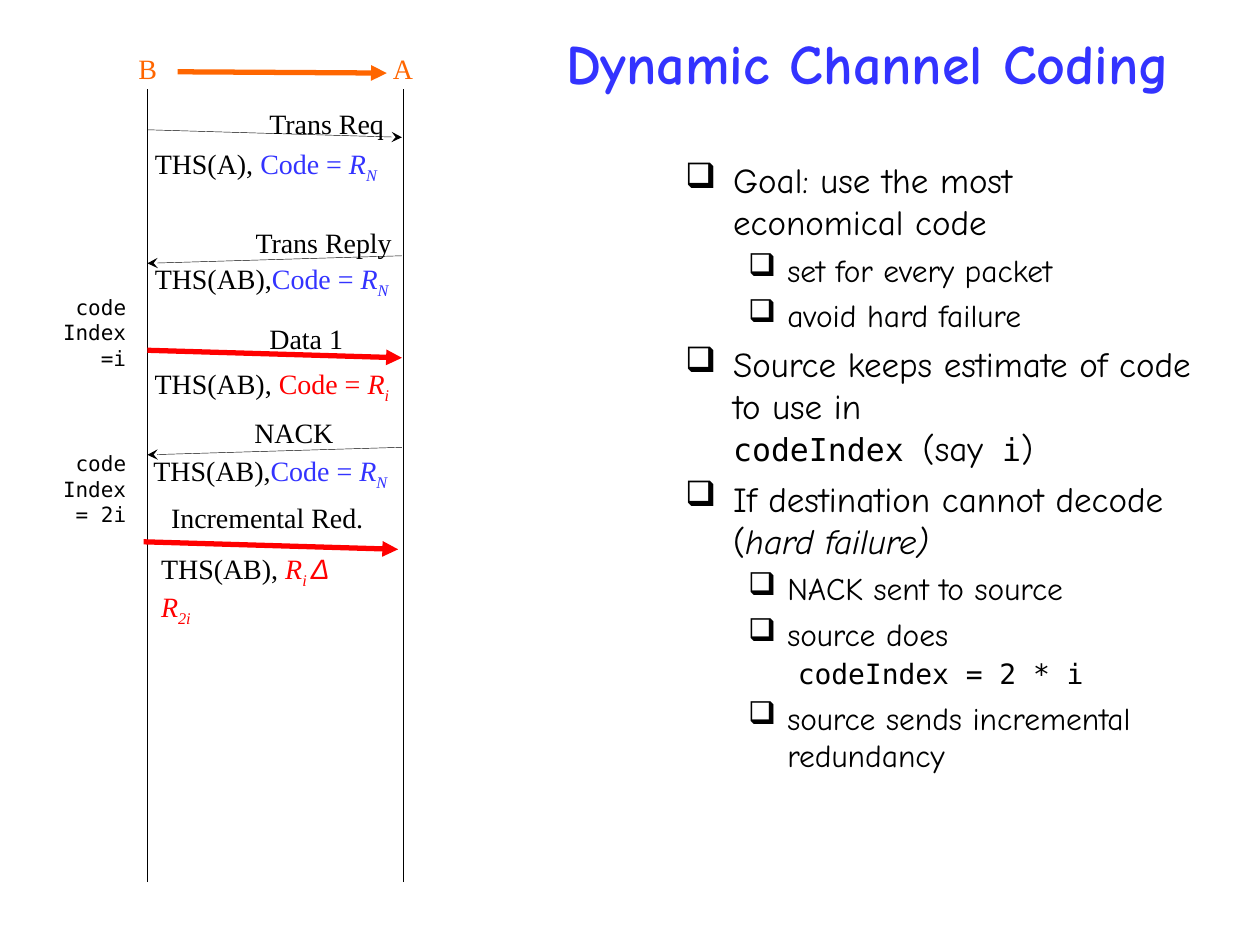
from pptx import Presentation
from pptx.dml.color import RGBColor
from pptx.enum.shapes import MSO_CONNECTOR as Conn
from pptx.enum.text import (
    MSO_ANCHOR as Anchor, MSO_AUTO_SIZE as Fit, PP_ALIGN as Align)
from pptx.oxml.ns import qn
from pptx.util import Inches, Pt
from lxml.etree import SubElement

BLACK = RGBColor(0x00, 0x00, 0x00)
BLUE = RGBColor(0x33, 0x33, 0xFF)
RED = RGBColor(0xFF, 0x00, 0x00)
ORANGE = RGBColor(0xFF, 0x66, 0x00)

SERIF, COMIC, MONO = "Times New Roman", "Comic Neue", "DejaVu Sans Mono"
PLAIN = dict(name=SERIF, size=Pt(16))
HEAD = dict(name=COMIC, size=Pt(32), bold=True)
MAIN = dict(name=COMIC, size=Pt(20))
SUB = dict(name=COMIC, size=Pt(18))
CODE = dict(name=MONO, size=Pt(18))
SMALL = dict(name=MONO, size=Pt(16))
SIDE = dict(name=MONO, size=Pt(12))
ITAL = dict(PLAIN, italic=True)

# Bullet levels: left margin, hanging indent, space before
LEVELS = [(0.38, 0.38, 5), (0.81, 0.31, 4.5)]


class Deck:
    def __init__(self):
        self.prs = Presentation()
        self.prs.slide_width, self.prs.slide_height = Inches(10), Inches(7.5)
        self.slide = self.prs.slides.add_slide(self.prs.slide_layouts[6])

    def run(self, para, text, form=PLAIN, color=BLACK, low=False):
        """Add text to a paragraph; low makes it a subscript."""
        lines = text.split("\n")
        for num, line in enumerate(lines):
            if num:
                para.add_line_break()
            if not line:
                continue
            run = para.add_run()
            run.text = line
            for key, value in form.items():
                setattr(run.font, key, value)
            run.font.color.rgb = color
            if low:
                run._r.get_or_add_rPr().set("baseline", "-25000")

    def text(self, x, y, w, h, paras, align=Align.LEFT, wrap=False,
             anchor=Anchor.TOP):
        """Add a box; each paragraph is a list of run arguments."""
        frame = self.slide.shapes.add_textbox(
            Inches(x), Inches(y), Inches(w), Inches(h)).text_frame
        frame.word_wrap, frame.vertical_anchor = wrap, anchor
        if not wrap:
            frame.auto_size = Fit.SHAPE_TO_FIT_TEXT
        for num, runs in enumerate(paras):
            para = frame.add_paragraph() if num else frame.paragraphs[0]
            para.alignment = align
            for args in runs:
                self.run(para, *args)
        return frame

    def bullets(self, x, y, w, h, items):
        """Add a list of (level, runs) items."""
        frame = self.text(x, y, w, h, [runs for _, runs in items], wrap=True)
        for para, (level, _) in zip(frame.paragraphs, items):
            left, hang, gap = LEVELS[level]
            para.level, para.space_before = level, Pt(gap)
            props = para._p.get_or_add_pPr()
            props.set("marL", str(Inches(left)))
            props.set("indent", str(-Inches(hang)))
            tint = SubElement(props, qn("a:buClr"))
            SubElement(tint, qn("a:srgbClr"), val=str(BLACK))
            SubElement(props, qn("a:buChar"), char="❑")

    def line(self, x1, y1, x2, y2, color=BLACK, width=0.25, head=None):
        line = self.slide.shapes.add_connector(
            Conn.STRAIGHT, Inches(x1), Inches(y1), Inches(x2), Inches(y2))
        line.line.color.rgb, line.line.width = color, Pt(width)
        if head:
            SubElement(line.line._get_or_add_ln(), qn("a:tailEnd"), type=head)
        SubElement(line._element.spPr, qn("a:effectLst"))

    def save(self):
        self.prs.save("out.pptx")


def code(lead, color=BLUE, sub="N"):
    return [(lead,), ("Code = ", PLAIN, color), ("R", ITAL, color),
            (sub, ITAL, color, True)]


DELTA = [("THS(AB), ",), ("R", ITAL, RED), ("i ", ITAL, RED, True),
         ("Δ ", dict(ITAL, name="Arial"), RED), ("R", ITAL, RED),
         ("2i", ITAL, RED, True)]

# Label and its box, arrow start and whether it runs right, bold arrow,
# then the detail runs, their box and wrapping
STEPS = [
    ("Trans Req", (2.04, 0.8, 1.14, 0.37), (1.17, 1.03), True, False,
     code("THS(A), "), (1.13, 1.11, 1.98, 0.41), True),
    ("Trans Reply", (1.93, 1.74, 1.36, 0.37), (3.19, 2.03), False, False,
     code("THS(AB),"), (1.13, 2.03, 2.12, 0.41), True),
    ("Data 1", (2.04, 2.5, 0.82, 0.37), (1.17, 2.78), True, True,
     code("THS(AB), ", RED, "i"), (1.13, 2.86, 2.1, 0.41), False),
    ("NACK", (1.92, 3.25, 0.9, 0.37), (3.19, 3.55), False, False,
     code("THS(AB),"), (1.12, 3.55, 2.13, 0.41), True),
    ("Incremental Red.", (1.26, 3.92, 1.76, 0.37), (1.14, 4.3), True, True,
     DELTA, (1.18, 4.33, 1.79, 0.71), True),
]
SPAN, DROP = 2.02, 0.06

POINTS = [
    (0, [("Goal: use the most economical code", MAIN)]),
    (1, [("set for every packet", SUB)]),
    (1, [("avoid hard failure", SUB)]),
    (0, [("Source keeps estimate of code to use in\n", MAIN),
         ("codeIndex ", CODE), ("(say", MAIN), (" i", CODE), (")", MAIN)]),
    (0, [("If destination cannot decode (", MAIN),
         ("hard failure)", dict(MAIN, italic=True))]),
    (1, [("NACK sent to source", SUB)]),
    (1, [("source does\n ", SUB), ("codeIndex = 2 * i", SMALL)]),
    (1, [("source sends incremental redundancy", SUB)]),
]


def main():
    deck = Deck()
    deck.text(4.05, 0, 5.68, 0.99, [[("Dynamic Channel Coding", HEAD, BLUE)]],
              Align.CENTER, True, Anchor.MIDDLE)
    deck.bullets(5.34, 1.21, 4.23, 5.75, POINTS)

    deck.line(1.41, 0.57, 3.07, 0.58, ORANGE, 3, "triangle")
    for name, left, axis in (("B", 1, 1.17), ("A", 3.02, 3.2)):
        deck.text(left, 0.36, 0.36, 0.37, [[(name, PLAIN, ORANGE)]])
        deck.line(axis, 7, axis, 0.71)

    for label, box, (x, y), right, bold, runs, area, wrap in STEPS:
        style = (RED, 3, "triangle") if bold else (BLACK, 0.25, "stealth")
        deck.line(x, y, x + (SPAN if right else -SPAN), y + DROP, *style)
        deck.text(*box, [[(label,)]])
        deck.text(*area, [runs], wrap=wrap)

    for top, value in ((2.29, "=i"), (3.53, "= 2i")):
        deck.text(0, top, 1.1, 0.7,
                  [[(word, SIDE)] for word in ("code", "Index", value)],
                  Align.RIGHT, True)
    deck.save()


if __name__ == "__main__":
    main()
